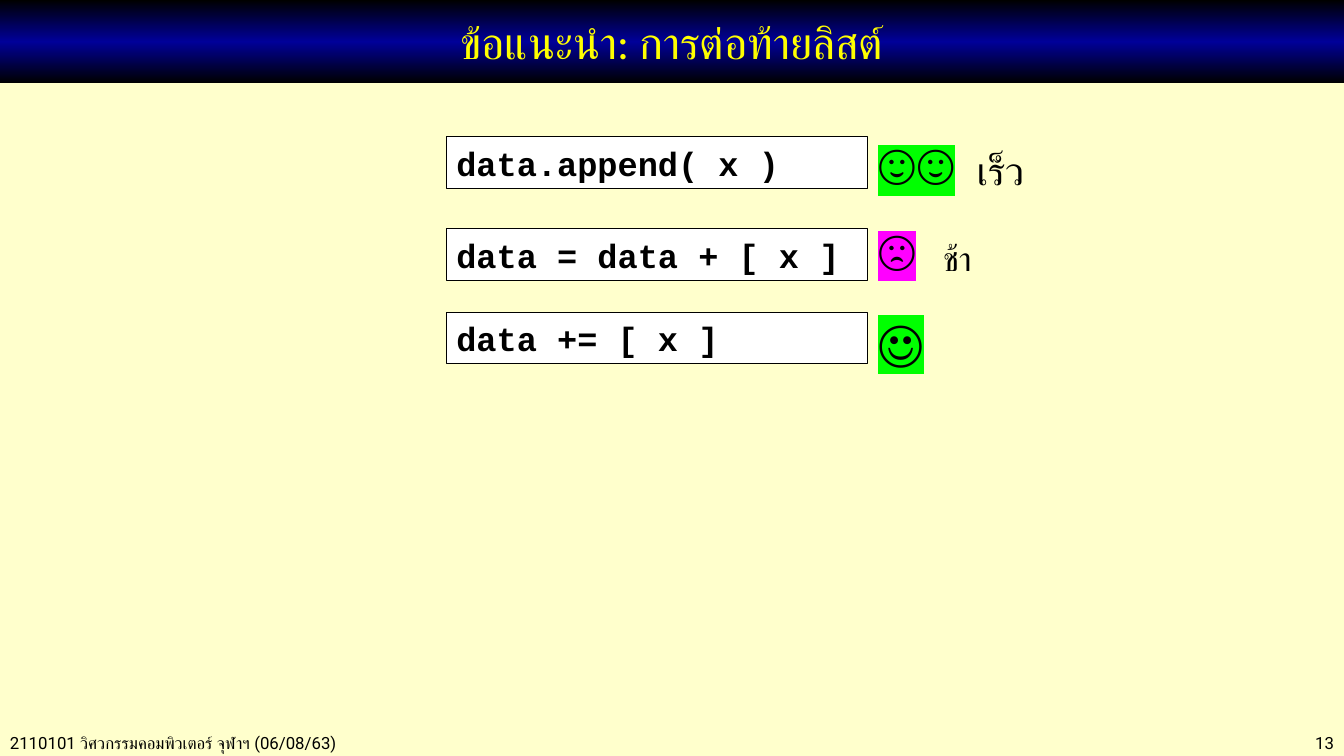
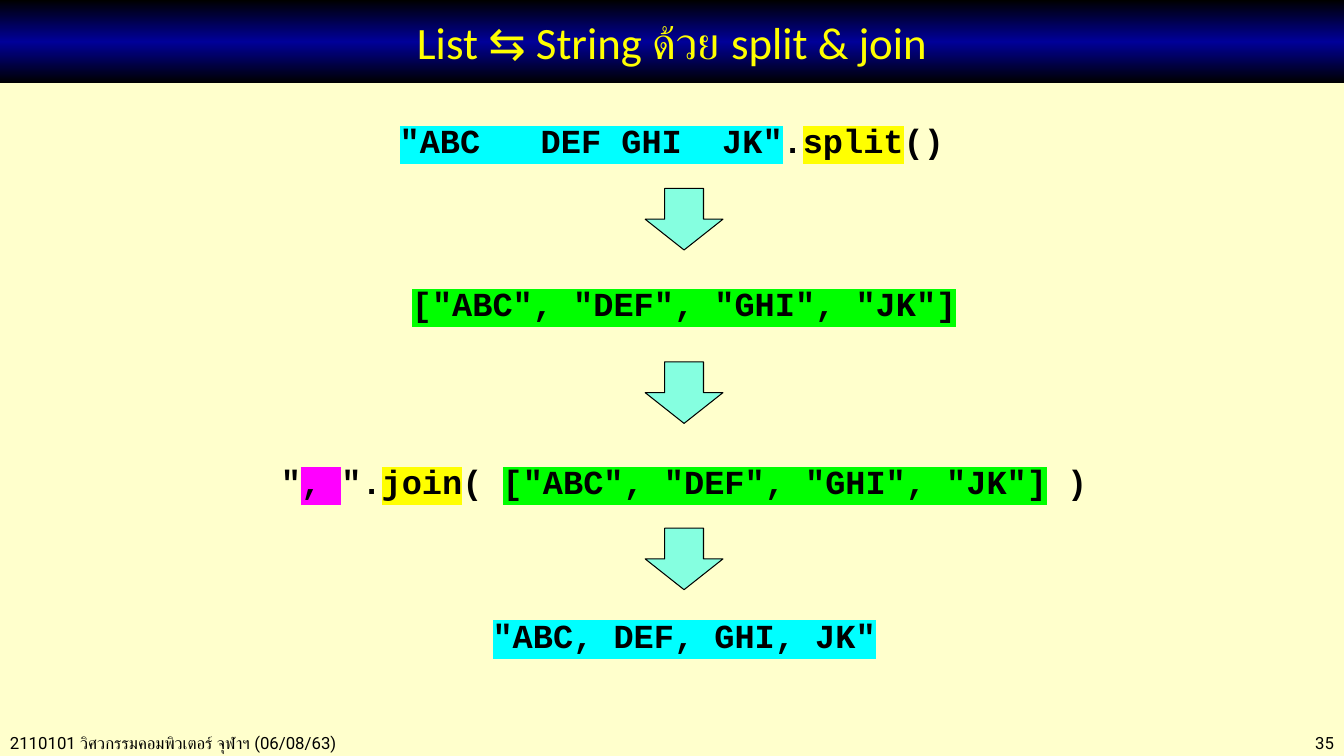
from copy import deepcopy

from lxml.etree import SubElement
from pptx import Presentation
from pptx.dml.color import RGBColor
from pptx.enum.shapes import MSO_SHAPE
from pptx.enum.text import MSO_ANCHOR, PP_ALIGN
from pptx.oxml.ns import qn
from pptx.util import Cm, Pt

BLACK = RGBColor(0x00, 0x00, 0x00)
WHITE = RGBColor(0xFF, 0xFF, 0xFF)
CREAM = RGBColor(0xFF, 0xFF, 0xCC)
NAVY = RGBColor(0x00, 0x00, 0x99)
YELLOW = RGBColor(0xFF, 0xFF, 0x00)
CYAN = RGBColor(0x00, 0xFF, 0xFF)
GREEN = RGBColor(0x00, 0xFF, 0x00)
MAGENTA = RGBColor(0xFF, 0x00, 0xFF)
MINT = RGBColor(0x85, 0xFF, 0xE0)

WIDTH, HEIGHT = 33.87, 19.05
FOOTER = "2110101 วิศวกรรมคอมพิวเตอร์ จุฬาฯ (06/08/63)"
TITLE_FONT = {"name": "Calibri", "size": Pt(32)}
CODE_FONT = {"name": "Courier New", "size": Pt(24), "bold": True}
FOOTER_FONT = {"name": "Roboto", "size": Pt(12)}
FACE_FONT = {"name": "Roboto", "size": Pt(36)}


class Deck:
    def __init__(self):
        self.prs = Presentation()
        self.prs.slide_width, self.prs.slide_height = Cm(WIDTH), Cm(HEIGHT)
        self.slide = None

    def new_slide(self, title, number):
        self.slide = self.prs.slides.add_slide(self.prs.slide_layouts[6])
        fill = self.slide.background.fill
        fill.solid()
        fill.fore_color.rgb = CREAM
        self.text(0, 18.34, 13.2, 0.76, [(FOOTER, None)], FOOTER_FONT)
        self.text(29.2, 18.34, 4.67, 0.76, [(number, None)], FOOTER_FONT, PP_ALIGN.RIGHT)
        self.title_band(title)

    def title_band(self, title):
        band = self.shape(MSO_SHAPE.RECTANGLE, 0, 0, WIDTH, 2.1)
        band.line.fill.background()
        band.fill.gradient()
        band.fill.gradient_angle = 90
        stops = band.element.spPr.find(".//" + qn("a:gsLst"))
        stops.append(deepcopy(stops[-1]))
        for stop, position, color in zip(
            band.fill.gradient_stops, (0, 0.5, 1), (BLACK, NAVY, BLACK)
        ):
            stop.position = position
            stop.color.rgb = color
        band.text_frame.vertical_anchor = MSO_ANCHOR.MIDDLE
        self.add_runs(band, [(title, None)], TITLE_FONT, PP_ALIGN.CENTER, YELLOW)

    def shape(self, kind, left, top, width, height, color=None):
        shape = self.slide.shapes.add_shape(kind, Cm(left), Cm(top), Cm(width), Cm(height))
        shape.shadow.inherit = False
        if color is not None:
            shape.fill.solid()
            shape.fill.fore_color.rgb = color
            shape.line.color.rgb = BLACK
            shape.line.width = Pt(0.75)
        return shape

    def text(self, left, top, width, height, parts, font, align=PP_ALIGN.LEFT):
        box = self.slide.shapes.add_textbox(Cm(left), Cm(top), Cm(width), Cm(height))
        return self.add_runs(box, parts, font, align)

    def add_runs(self, shape, parts, font, align, color=BLACK):
        shape.text_frame.word_wrap = True
        paragraph = shape.text_frame.paragraphs[0]
        paragraph.alignment = align
        for words, highlight in parts:
            run = paragraph.add_run()
            run.text = words
            run.font.color.rgb = color
            for attribute, value in font.items():
                setattr(run.font, attribute, value)
            if highlight is not None:
                self.highlight(run, highlight)
        return paragraph

    def highlight(self, run, color):
        properties = run._r.get_or_add_rPr()
        mark = SubElement(properties, qn("a:highlight"))
        SubElement(mark, qn("a:srgbClr")).set("val", str(color))
        properties.find(qn("a:solidFill")).addnext(mark)

    def code_box(self, top, code):
        box = self.shape(MSO_SHAPE.RECTANGLE, 11.25, top, 10.62, 1.3, WHITE)
        self.add_runs(box, [(code, None)], CODE_FONT, PP_ALIGN.LEFT)

    def verdict(self, top, faces, color, word, size, indent):
        parts = [(faces, color)]
        if word:
            parts.append(("\t" + word, None))
        paragraph = self.text(21.87, top, 4.62, 1.8, parts, FACE_FONT)
        if word:
            paragraph.runs[-1].font.size = Pt(size)
            tabs = SubElement(paragraph._p.get_or_add_pPr(), qn("a:tabLst"))
            tab = SubElement(tabs, qn("a:tab"))
            tab.set("pos", str(int(Cm(indent))))
            tab.set("algn", "l")

    def code_line(self, center, top, width, parts):
        self.text(center - width / 2, top, width, 1.3, parts, CODE_FONT, PP_ALIGN.CENTER)

    def down_arrow(self, top):
        self.shape(MSO_SHAPE.DOWN_ARROW, 16.26, top, 1.96, 1.55, MINT)


def main():
    deck = Deck()

    deck.new_slide("ข้อแนะนำ: การต่อท้ายลิสต์", "13")
    for code_top, code, *verdict in (
        (3.45, "data.append( x )", 3.28, "☺☺", GREEN, "เร็ว", 28, 2.5),
        (5.77, "data = data + [ x ]", 5.44, "☹", MAGENTA, "ช้า", 24, 1.65),
        (7.87, "data += [ x ]", 7.72, "☺", GREEN, "", 0, 0),
    ):
        deck.code_box(code_top, code)
        deck.verdict(*verdict)

    deck.new_slide("List ⇆ String ด้วย split & join", "35")
    pieces = ('["ABC", "DEF", "GHI", "JK"]', GREEN)
    split_call = [('"ABC   DEF GHI  JK"', CYAN), (".", None), ("split", YELLOW), ("()", None)]
    join_call = [
        ('"', None), (", ", MAGENTA), ('".', None), ("join", YELLOW),
        ("( ", None), pieces, (" )", None),
    ]
    joined = [('"ABC, DEF, GHI, JK"', CYAN)]
    for center, top, width, parts in (
        (16.93, 2.9, 14.55, split_call),
        (17.24, 7.01, 15.2, [pieces]),
        (17.24, 11.5, 21, join_call),
        (17.24, 15.37, 13.3, joined),
    ):
        deck.code_line(center, top, width, parts)
    for top in (4.75, 9.12, 13.31):
        deck.down_arrow(top)

    deck.prs.save("out.pptx")


if __name__ == "__main__":
    main()
